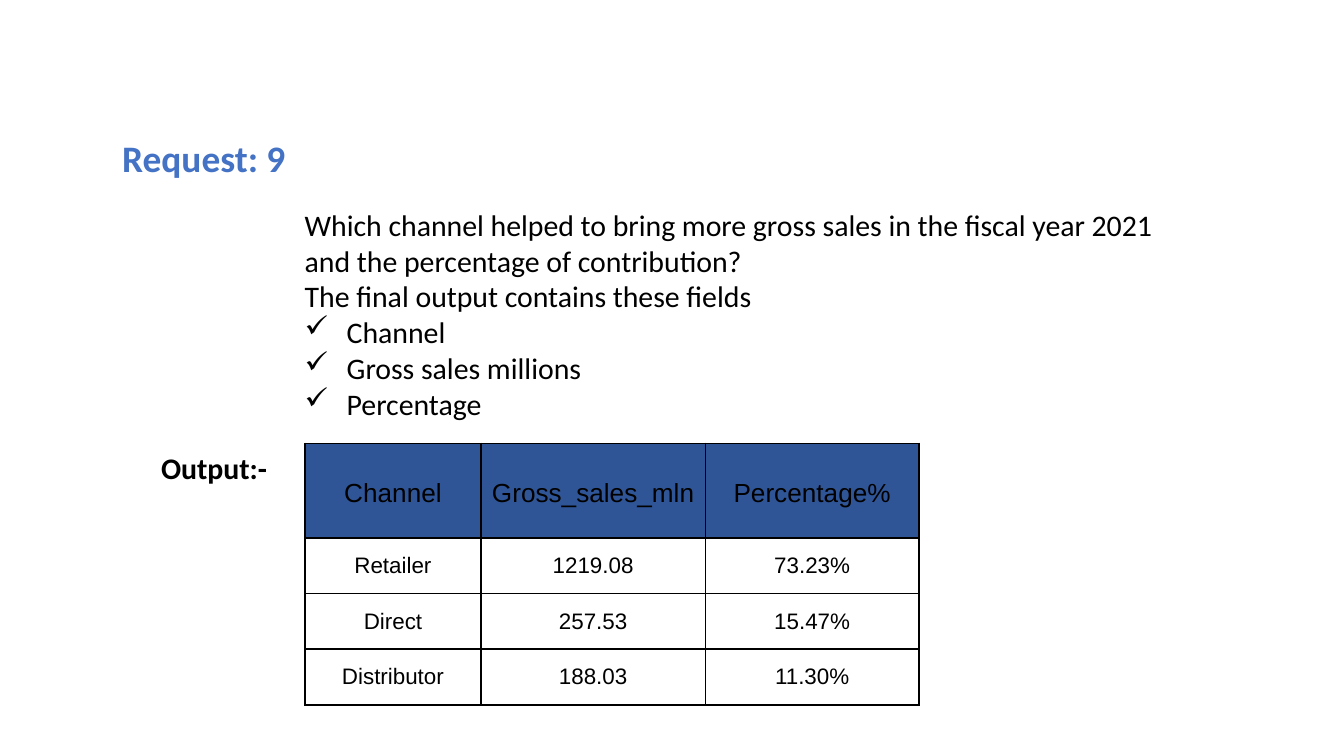
from dataclasses import dataclass

from lxml import etree
from pptx import Presentation
from pptx.dml.color import RGBColor
from pptx.enum import text
from pptx.oxml import ns
from pptx.util import Pt

BLACK = "000000"
HEADER_BLUE = "2F5597"
TITLE_BLUE = "4472C4"


@dataclass(frozen=True)
class Style:
    size: float
    font: str = "Calibri"
    color: str = BLACK
    bold: bool = False


@dataclass(frozen=True)
class Line:
    words: str
    bullet: bool = False


@dataclass(frozen=True)
class TextBlock:
    left: float
    top: float
    width: float
    height: float
    style: Style
    lines: tuple[Line, ...]


BLOCKS = (
    TextBlock(156.2, 107, 476, 123.4, Style(16), (
        Line("Which channel helped to bring more gross sales in the fiscal year 2021 "
             "and the percentage of contribution?"),
        Line("The final output contains these fields"),
        Line("Channel", bullet=True),
        Line("Gross sales millions", bullet=True),
        Line("Percentage", bullet=True),
    )),
    TextBlock(58.3, 69.1, 118.8, 31.7, Style(20, color=TITLE_BLUE, bold=True),
              (Line("Request: 9"),)),
    TextBlock(79.2, 237.6, 77.8, 26.6, Style(16, bold=True), (Line("Output:-"),)),
)

SALES_ROWS = (
    ("Channel", "Gross_sales_mln", "Percentage%"),
    ("Retailer", "1219.08", "73.23%"),
    ("Direct", "257.53", "15.47%"),
    ("Distributor", "188.03", "11.30%"),
)
COLUMN_WIDTHS = (94.3, 120.2, 114.5)
HEADER_HEIGHT = 50.6
ROW_HEIGHT = 29.8


def rgb(color: str) -> RGBColor:
    return RGBColor.from_string(color)


def add_run(paragraph, words: str, style: Style) -> None:
    run = paragraph.add_run()
    run.text = words
    run.font.size = Pt(style.size)
    run.font.name = style.font
    run.font.bold = style.bold
    run.font.color.rgb = rgb(style.color)


def add_check_bullet(paragraph) -> None:
    properties = paragraph._p.get_or_add_pPr()
    properties.set("marL", str(Pt(22.5)))
    properties.set("indent", str(-Pt(22.5)))
    bullet_color = etree.SubElement(properties, ns.qn("a:buClr"))
    etree.SubElement(bullet_color, ns.qn("a:srgbClr"), val=BLACK)
    etree.SubElement(properties, ns.qn("a:buChar"), char="✓")


def add_text_block(slide, block: TextBlock) -> None:
    shape = slide.shapes.add_textbox(
        Pt(block.left), Pt(block.top), Pt(block.width), Pt(block.height))
    frame = shape.text_frame
    frame.word_wrap = True
    frame.auto_size = text.MSO_AUTO_SIZE.SHAPE_TO_FIT_TEXT
    for index, line in enumerate(block.lines):
        paragraph = frame.add_paragraph() if index else frame.paragraphs[0]
        if line.bullet:
            add_check_bullet(paragraph)
        add_run(paragraph, line.words, block.style)


def add_borders(cell) -> None:
    properties = cell._tc.get_or_add_tcPr()
    for side in ("lnL", "lnR", "lnT", "lnB"):
        border = etree.SubElement(properties, ns.qn(f"a:{side}"), w=str(Pt(1)))
        fill = etree.SubElement(border, ns.qn("a:solidFill"))
        etree.SubElement(fill, ns.qn("a:srgbClr"), val=BLACK)


def fill_cell(cell, words: str, is_header: bool) -> None:
    cell.margin_left = cell.margin_right = cell.margin_bottom = 0
    cell.margin_top = Pt(3 if is_header else 0)
    cell.vertical_anchor = text.MSO_ANCHOR.MIDDLE
    add_borders(cell)
    if is_header:
        cell.fill.solid()
        cell.fill.fore_color.rgb = rgb(HEADER_BLUE)
    else:
        cell.fill.background()
    paragraph = cell.text_frame.paragraphs[0]
    paragraph.alignment = text.PP_ALIGN.CENTER
    add_run(paragraph, words, Style(14 if is_header else 12, font="Arial"))


def add_sales_table(slide, left: float, top: float) -> None:
    heights = (HEADER_HEIGHT,) + (ROW_HEIGHT,) * (len(SALES_ROWS) - 1)
    table = slide.shapes.add_table(
        len(SALES_ROWS), len(COLUMN_WIDTHS), Pt(left), Pt(top),
        Pt(sum(COLUMN_WIDTHS)), Pt(sum(heights))).table
    table.first_row = table.horz_banding = False
    for column, width in zip(table.columns, COLUMN_WIDTHS):
        column.width = Pt(width)
    for row_index, (row, height) in enumerate(zip(table.rows, heights)):
        row.height = Pt(height)
        for cell, words in zip(row.cells, SALES_ROWS[row_index]):
            fill_cell(cell, words, is_header=row_index == 0)


def main() -> None:
    presentation = Presentation()
    presentation.slide_width = Pt(720)
    presentation.slide_height = Pt(405)
    slide = presentation.slides.add_slide(presentation.slide_layouts[6])
    for block in BLOCKS:
        add_text_block(slide, block)
    add_sales_table(slide, 163.4, 237.6)
    presentation.save("out.pptx")


if __name__ == "__main__":
    main()
